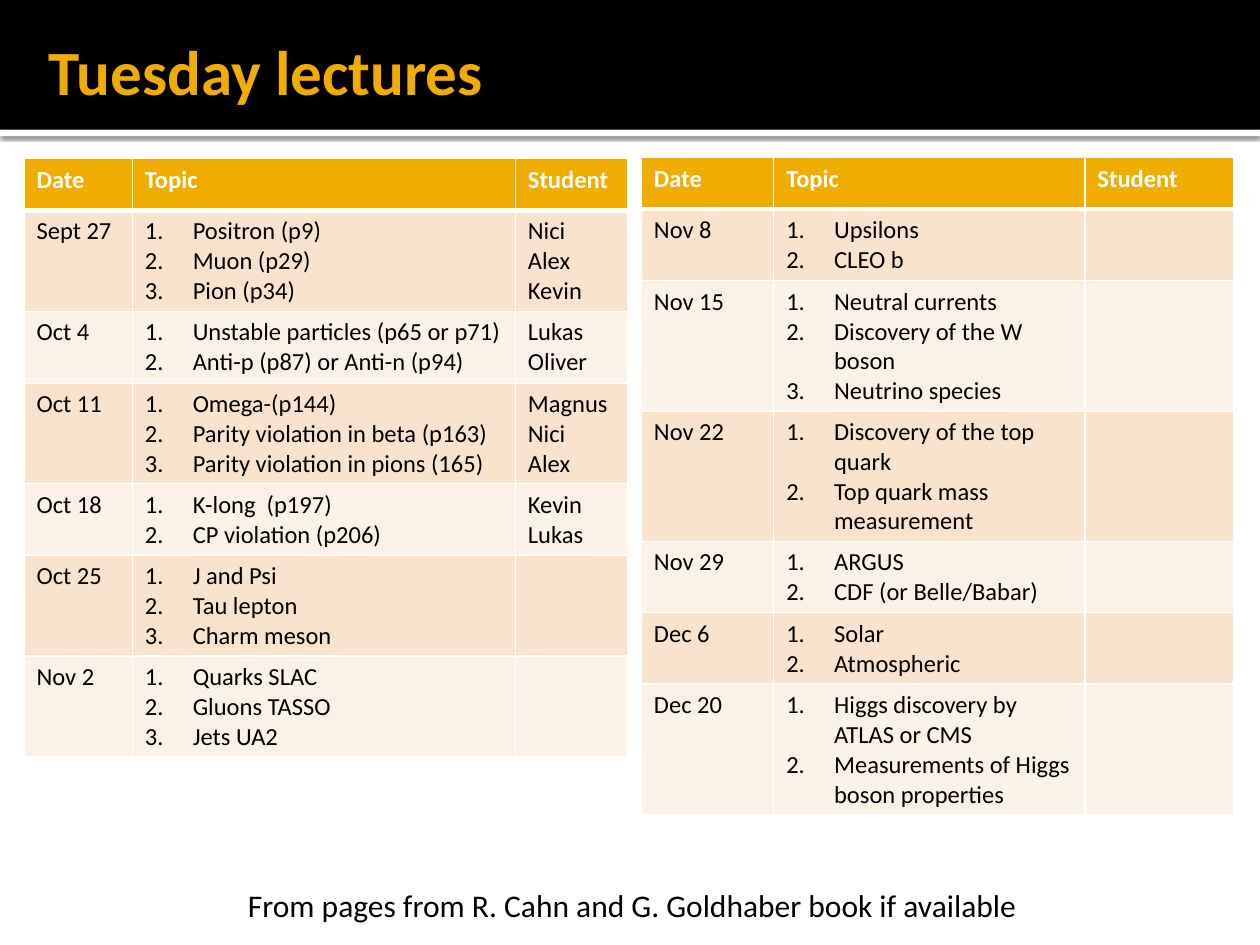
from lxml.etree import SubElement
from pptx import Presentation
from pptx.dml.color import RGBColor
from pptx.enum.shapes import MSO_SHAPE
from pptx.enum.text import MSO_ANCHOR, MSO_AUTO_SIZE
from pptx.oxml.ns import qn
from pptx.util import Inches, Pt

BLACK = RGBColor(0x00, 0x00, 0x00)
WHITE = RGBColor(0xFF, 0xFF, 0xFF)
GOLD = RGBColor(0xF0, 0xAD, 0x00)
PEACH = RGBColor(0xF9, 0xE3, 0xCC)
CREAM = RGBColor(0xFC, 0xF1, 0xE7)

HEAD = ("Date", "Topic", "Student")
AUTUMN = [
    ("Sept 27", ["Positron (p9)", "Muon (p29)", "Pion (p34)"], ["Nici", "Alex", "Kevin"]),
    ("Oct 4", ["Unstable particles (p65 or p71)", "Anti-p (p87) or Anti-n (p94)"],
     ["Lukas", "Oliver"]),
    ("Oct 11", ["Omega-(p144)", "Parity violation in beta (p163)",
                "Parity violation in pions (165)"], ["Magnus", "Nici", "Alex"]),
    ("Oct 18", ["K-long  (p197)", "CP violation (p206)"], ["Kevin", "Lukas"]),
    ("Oct 25", ["J and Psi", "Tau lepton", "Charm meson"], []),
    ("Nov 2", ["Quarks SLAC", "Gluons TASSO", "Jets UA2"], []),
]
WINTER = [
    ("Nov 8", ["Upsilons", "CLEO b"], []),
    ("Nov 15", ["Neutral currents", "Discovery of the W boson", "Neutrino species"], []),
    ("Nov 22", ["Discovery of the top quark", "Top quark mass measurement"], []),
    ("Nov 29", ["ARGUS", "CDF (or Belle/Babar)"], []),
    ("Dec 6", ["Solar", "Atmospheric"], []),
    ("Dec 20", ["Higgs discovery by ATLAS or CMS",
                "Measurements of Higgs boson properties"], []),
]


class Deck:
    font = "Calibri"

    def __init__(self):
        self.file = Presentation()
        self.file.slide_width, self.file.slide_height = Inches(10), Inches(7.5)
        self.slide = self.file.slides.add_slide(self.file.slide_layouts[6])

    def band(self, top, height, color):
        shape = self.slide.shapes.add_shape(
            MSO_SHAPE.RECTANGLE, 0, Inches(top), Inches(10), Inches(height))
        shape.shadow.inherit = False
        shape.fill.solid()
        shape.fill.fore_color.rgb = color
        shape.line.fill.background()
        return shape

    def shade(self, shape):
        effects = shape.element.spPr.find(qn("a:effectLst"))
        outer = SubElement(effects, qn("a:outerShdw"), blurRad=str(Pt(2.5)),
                           dist=str(Pt(0.8)), dir="5400000", rotWithShape="0")
        tint = SubElement(outer, qn("a:srgbClr"), val=str(BLACK))
        SubElement(tint, qn("a:alpha"), val="60000")

    def add_text(self, para, text, size, color, bold=False):
        run = para.add_run()
        run.text = text
        font = run.font
        font.name, font.size, font.bold = self.font, Pt(size), bold
        font.color.rgb = color

    def label(self, box, text, size, color, bold=False, wrap=True):
        shape = self.slide.shapes.add_textbox(*map(Inches, box))
        frame = shape.text_frame
        frame.word_wrap = wrap
        self.add_text(frame.paragraphs[0], text, size, color, bold)
        return frame

    def number(self, para):
        props = para._p.get_or_add_pPr()
        props.set("marL", str(Inches(0.38)))
        props.set("indent", str(Inches(-0.38)))
        SubElement(props, qn("a:buAutoNum"), type="arabicPeriod")

    def border(self, cell, base):
        props = cell._tc.get_or_add_tcPr()
        for side, width in (("L", 1), ("R", 1), ("T", 1), ("B", base)):
            line = SubElement(props, qn("a:ln" + side), w=str(Pt(width)))
            fill = SubElement(line, qn("a:solidFill"))
            SubElement(fill, qn("a:srgbClr"), val=str(WHITE))

    def cell(self, cell, lines, fill, head, listed):
        self.border(cell, 3 if head else 1)
        cell.fill.solid()
        cell.fill.fore_color.rgb = fill
        frame = cell.text_frame
        for i, line in enumerate(lines):
            para = frame.add_paragraph() if i else frame.paragraphs[0]
            if listed:
                self.number(para)
            self.add_text(para, line, 14, WHITE if head else BLACK, head)

    def table(self, box, widths, weeks):
        rows = [[[name] for name in HEAD]]
        rows += [[[date], topics, names] for date, topics, names in weeks]
        grid = self.slide.shapes.add_table(len(rows), len(HEAD), *map(Inches, box)).table
        for col, width in zip(grid.columns, widths):
            col.width = Inches(width)
        for r, row in enumerate(rows):
            grid.rows[r].height = Inches(0.41)
            head = r == 0
            fill = GOLD if head else PEACH if r % 2 else CREAM
            for c, lines in enumerate(row):
                self.cell(grid.cell(r, c), lines, fill, head, c == 1 and not head)


def main():
    deck = Deck()
    deck.shade(deck.band(1.03, 0.05, WHITE))
    deck.band(0, 1.03, BLACK)
    title = deck.label((0.29, 0.13, 9.49, 0.86), "Tuesday lectures", 36, GOLD, True)
    title.vertical_anchor = MSO_ANCHOR.MIDDLE
    title.margin_right = Inches(0.05)
    deck.table((0.19, 1.26, 4.8, 4.74), (0.86, 3.04, 0.89), AUTUMN)
    deck.table((5.09, 1.25, 4.69, 5.21), (1.05, 2.47, 1.18), WINTER)
    note = deck.label((1.87, 6.98, 6.43, 0.4),
                      "From pages from R. Cahn and G. Goldhaber book if available",
                      18, BLACK, wrap=False)
    note.auto_size = MSO_AUTO_SIZE.SHAPE_TO_FIT_TEXT
    deck.file.save("out.pptx")


if __name__ == "__main__":
    main()
